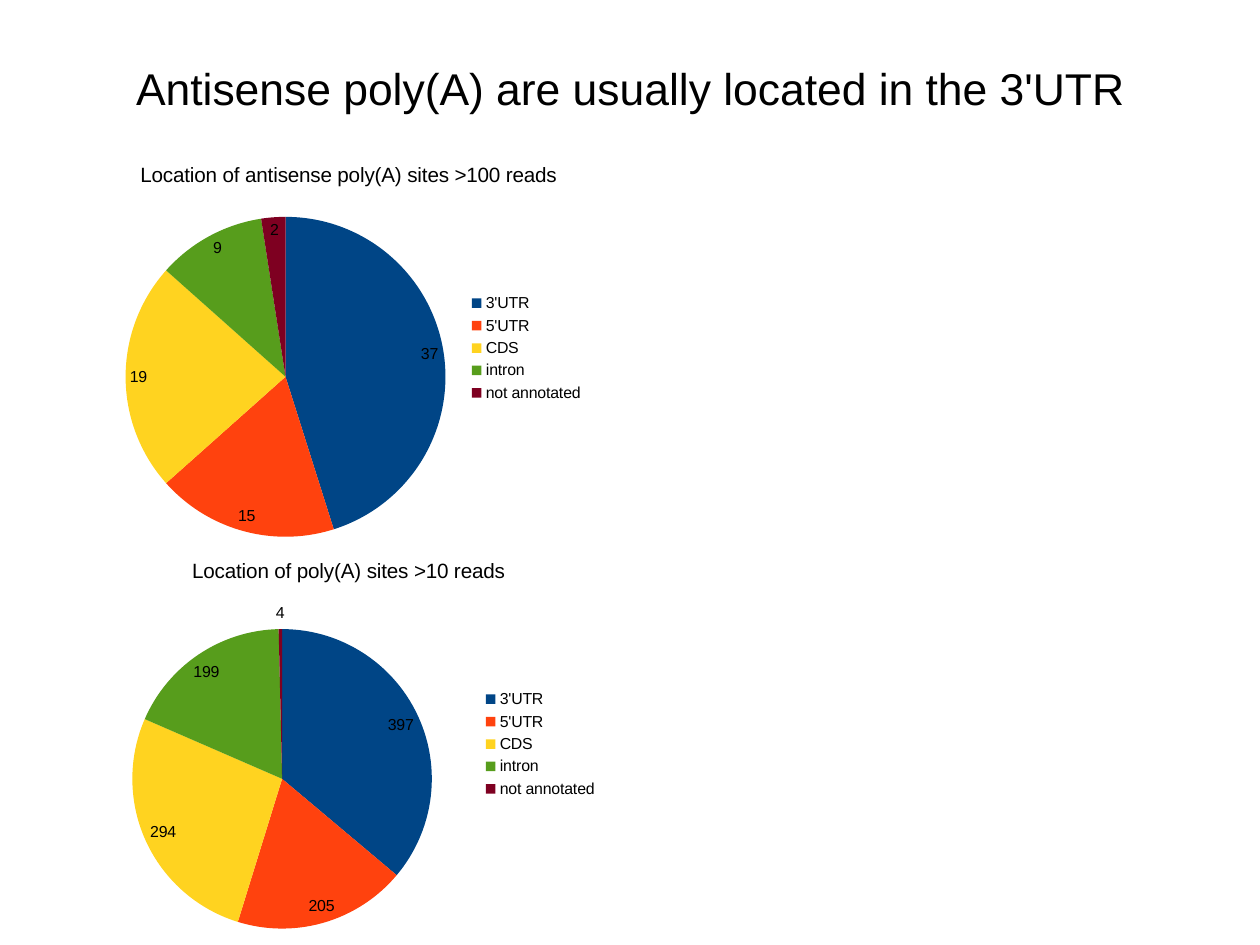
from pptx import Presentation
from pptx.chart.data import CategoryChartData
from pptx.dml.color import RGBColor
from pptx.enum.chart import XL_CHART_TYPE as ChartType
from pptx.enum.chart import XL_LABEL_POSITION as LabelPosition
from pptx.enum.chart import XL_LEGEND_POSITION as LegendPosition
from pptx.enum.text import MSO_ANCHOR as Anchor, MSO_AUTO_SIZE as AutoSize, PP_ALIGN as Align
from pptx.oxml import parse_xml
from pptx.oxml.ns import nsdecls, qn
from pptx.util import Cm, Pt

FONT = "Arial"
BLACK = RGBColor(0x00, 0x00, 0x00)
WHITE = RGBColor(0xFF, 0xFF, 0xFF)
SLICE_COLORS = [
    RGBColor(0x00, 0x45, 0x86),
    RGBColor(0xFF, 0x42, 0x0E),
    RGBColor(0xFF, 0xD3, 0x20),
    RGBColor(0x57, 0x9D, 0x1C),
    RGBColor(0x7E, 0x00, 0x21),
]
LOCATIONS = ["3'UTR", "5'UTR", "CDS", "intron", "not annotated"]


def style_font(font, size):
    """Set the common typeface and colour at the given size."""
    font.name = FONT
    font.size = Pt(size)
    font.bold = False
    font.color.rgb = BLACK


def write_text(frame, text, size=10, align=Align.CENTER):
    """Write one formatted paragraph into a text frame."""
    para = frame.paragraphs[0]
    para.alignment = align
    span = para.add_run()
    span.text = text
    style_font(span.font, size)


def layout_xml(target=None, **fractions):
    """Return a manual chart layout with positions as fractions of the chart."""
    parts = [f'<c:layoutTarget val="{target}"/>'] if target else []
    parts += [f'<c:{axis}Mode val="edge"/>' for axis in "xy"]
    parts += [f'<c:{name} val="{value}"/>' for name, value in fractions.items()]
    return parse_xml(
        f'<c:layout {nsdecls("c")}><c:manualLayout>{"".join(parts)}</c:manualLayout></c:layout>'
    )


def place_plot(chart, left, top, width, height):
    """Fix the pie's rectangle inside the chart."""
    area = chart.plots[0]._element.getparent()
    for layout in area.findall(qn("c:layout")):
        area.remove(layout)
    area.insert(0, layout_xml("inner", x=left, y=top, w=width, h=height))


def place_legend(chart, left, top):
    """Show the legend with its corner at the given fractions."""
    chart.has_legend = True
    legend = chart.legend
    legend.position = LegendPosition.RIGHT
    legend.include_in_layout = False
    style_font(legend.font, 10)
    legend._element.find(qn("c:legendPos")).addnext(layout_xml(x=left, y=top))


def fill_background(chart):
    """Give the chart a white background without a border."""
    chart._chartSpace.find(qn("c:chart")).addnext(parse_xml(
        f'<c:spPr {nsdecls("c", "a")}><a:solidFill><a:srgbClr val="{WHITE}"/></a:solidFill>'
        '<a:ln><a:noFill/></a:ln></c:spPr>'
    ))


def add_title(page, text, left, top, width, height):
    """Place the slide title in the given box."""
    box = page.shapes.title
    box.left, box.top, box.width, box.height = left, top, width, height
    frame = box.text_frame
    frame.word_wrap = True
    frame.auto_size = AutoSize.NONE
    frame.vertical_anchor = Anchor.MIDDLE
    frame.margin_left = frame.margin_right = frame.margin_top = frame.margin_bottom = 0
    write_text(frame, text, size=28)


def add_pie(page, title, values, box, plot, legend):
    """Place a pie chart of poly(A) site locations in the given box."""
    data = CategoryChartData()
    data.categories = LOCATIONS
    data.add_series("Series 1", values)
    chart = page.shapes.add_chart(ChartType.PIE, *box, data).chart
    style_font(chart.font, 10)
    fill_background(chart)
    chart.has_title = True
    write_text(chart.chart_title.text_frame, title, size=13)
    chart.chart_title.include_in_layout = False

    pie = chart.plots[0]
    pie.vary_by_categories = True
    for index, color in enumerate(SLICE_COLORS):
        slice_format = pie.series[0].points[index].format
        slice_format.fill.solid()
        slice_format.fill.fore_color.rgb = color
        slice_format.line.fill.background()
    labels = pie.series[0].data_labels
    labels.show_value = True
    labels.number_format = "General"
    labels.number_format_is_linked = False
    labels.position = LabelPosition.BEST_FIT
    style_font(labels.font, 10)

    place_plot(chart, *plot)
    place_legend(chart, *legend)


def main():
    """Build the slide and save it."""
    deck = Presentation()
    deck.slide_width, deck.slide_height = Cm(28), Cm(21)
    page = deck.slides.add_slide(deck.slide_layouts[5])
    add_title(page, "Antisense poly(A) are usually located in the 3'UTR",
              Cm(1.4), Cm(0.2), Cm(25.2), Cm(3.5))
    add_pie(page, "Location of antisense poly(A) sites >100 reads", [37, 15, 19, 9, 2],
            box=(0, Cm(3.2), Cm(15.48), Cm(9)),
            plot=(0.18, 0.18, 0.46, 0.79), legend=(0.67, 0.36))
    add_pie(page, "Location of poly(A) sites >10 reads", [397, 205, 294, 199, 4],
            box=(0, Cm(12), Cm(15.48), Cm(9)),
            plot=(0.19, 0.22, 0.43, 0.74), legend=(0.69, 0.36))
    deck.save("out.pptx")


if __name__ == "__main__":
    main()
